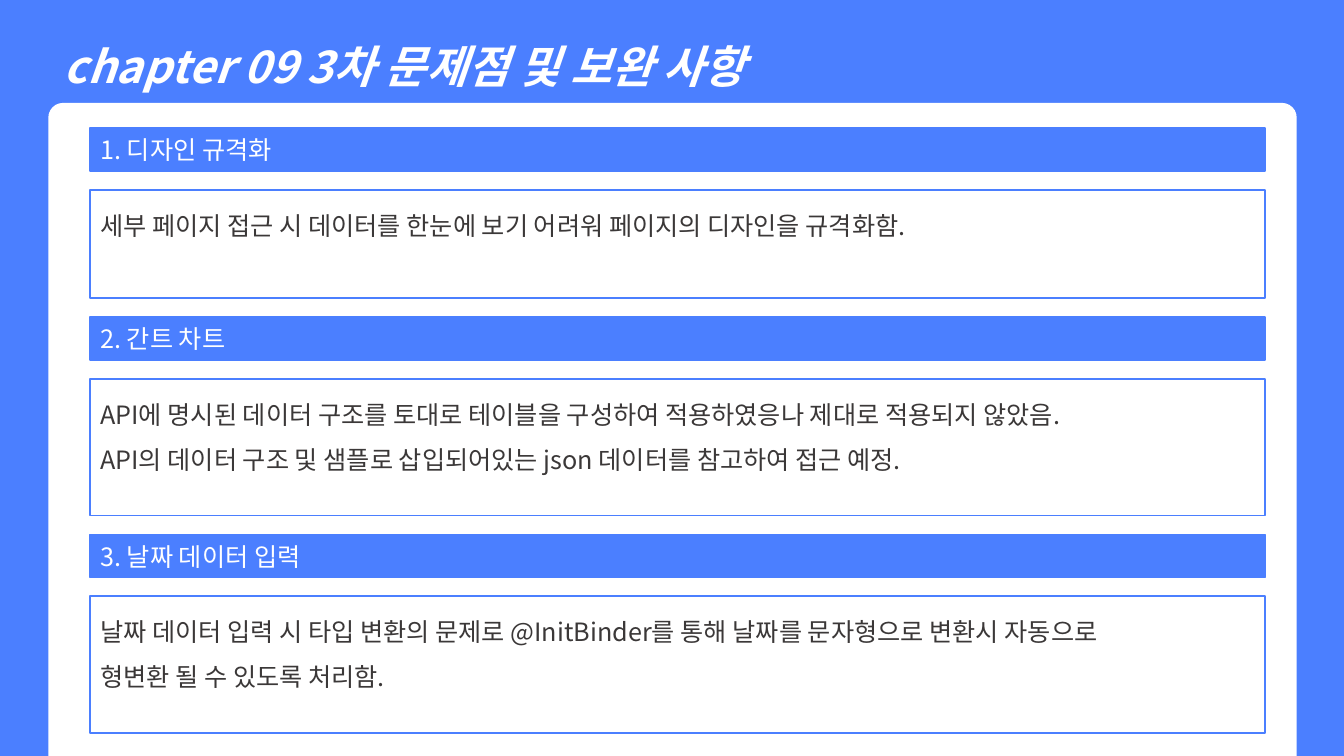
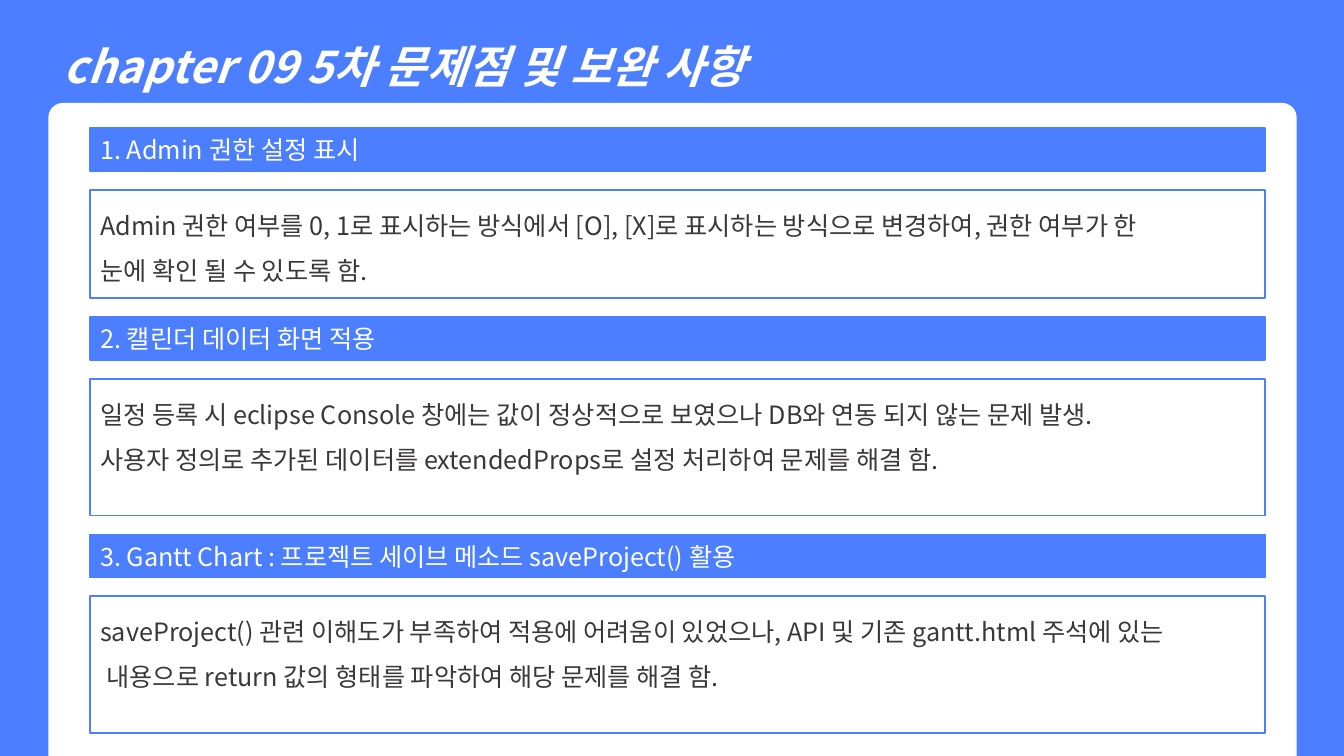
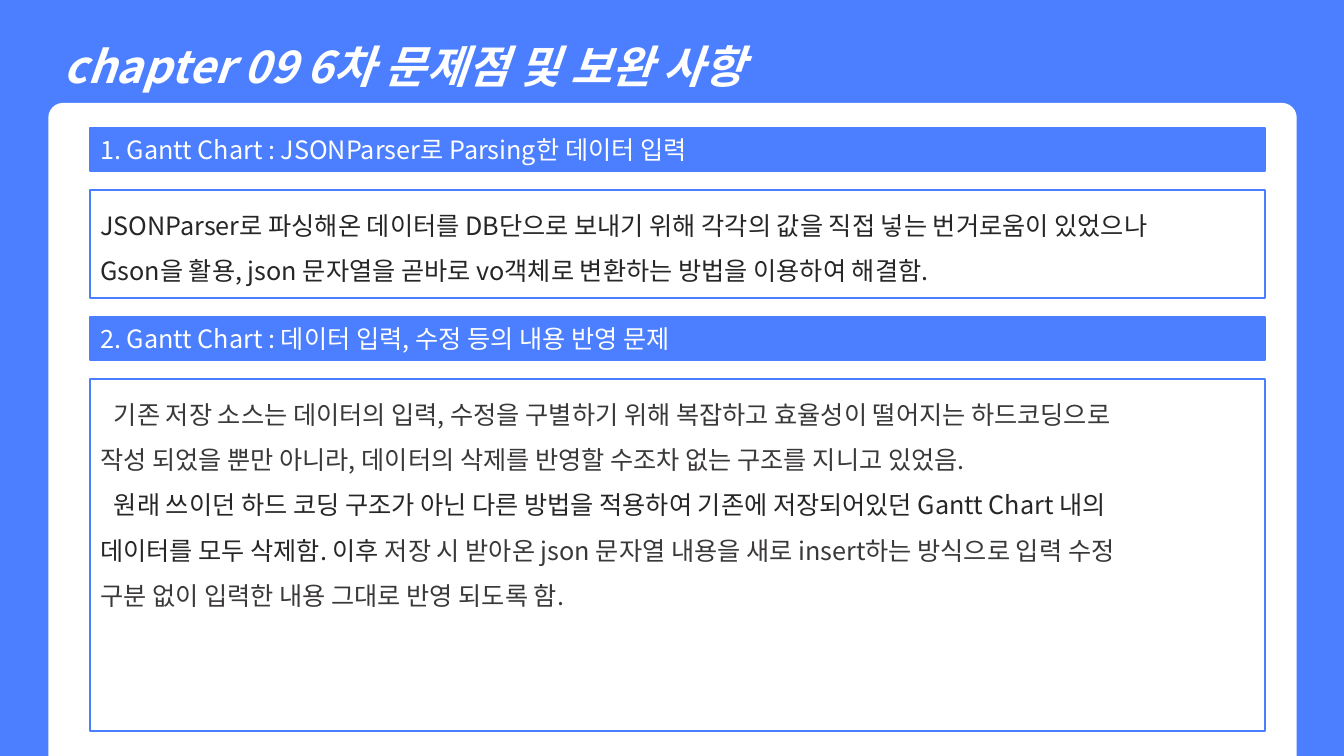
import dataclasses

import pptx
import pptx.dml.color
import pptx.enum.shapes
import pptx.enum.text
import pptx.oxml
import pptx.oxml.ns
import pptx.util

EMU_PER_PX = 9525
FONT = "Noto Sans CJK KR"
COLORS = {"blue": "4B7FFF", "white": "FFFFFF", "gray": "3B3838", "dark": "262626"}

# Page geometry, in px
PAGE_W, PAGE_H = 1280, 720
PANEL_X, PANEL_Y, PANEL_W = 46, 98, 1189
PANEL_RADIUS = 14
ISSUE_X, ISSUE_Y, ISSUE_W = 86, 122, 1119
BAND_H, GAP = 41, 18
HANGING = 36


@dataclasses.dataclass(frozen=True)
class Span:
    text: str
    color: str = "gray"


@dataclasses.dataclass(frozen=True)
class Line:
    spans: tuple[Span, ...]
    first_indent: int = 0


@dataclasses.dataclass(frozen=True)
class Issue:
    heading: str
    lines: tuple[Line, ...]
    height: int = 130


@dataclasses.dataclass(frozen=True)
class Review:
    title: str
    issues: tuple[Issue, ...]


def line(text: str, color: str = "gray", first_indent: int = 0) -> Line:
    return Line((Span(text, color),), first_indent)


REVIEWS = (
    Review("chapter 09 3차 문제점 및 보완 사항", (
        Issue("1. 디자인 규격화", (
            line("세부 페이지 접근 시 데이터를 한눈에 보기 어려워 페이지의 디자인을 규격화함."),
        ), 103),
        Issue("2. 간트 차트", (
            line("API에 명시된 데이터 구조를 토대로 테이블을 구성하여 적용하였응나 제대로 적용되지 않았음."),
            line("API의 데이터 구조 및 샘플로 삽입되어있는 json 데이터를 참고하여 접근 예정."),
        )),
        Issue("3. 날짜 데이터 입력", (
            line("날짜 데이터 입력 시 타입 변환의 문제로 @InitBinder를 통해 날짜를 문자형으로 변환시 자동으로"),
            line("형변환 될 수 있도록 처리함."),
        )),
    )),
    Review("chapter 09 5차 문제점 및 보완 사항", (
        Issue("1. Admin 권한 설정 표시", (
            line("Admin 권한 여부를 0, 1로 표시하는 방식에서 [O], [X]로 표시하는 방식으로 변경하여, 권한 여부가 한"),
            line("눈에 확인 될 수 있도록 함."),
        ), 103),
        Issue("2. 캘린더 데이터 화면 적용", (
            line("일정 등록 시 eclipse Console 창에는 값이 정상적으로 보였으나 DB와 연동 되지 않는 문제 발생."),
            line("사용자 정의로 추가된 데이터를 extendedProps로 설정 처리하여 문제를 해결 함."),
        )),
        Issue("3. Gantt Chart : 프로젝트 세이브 메소드 saveProject() 활용", (
            line("saveProject() 관련 이해도가 부족하여 적용에 어려움이 있었으나, API 및 기존 gantt.html 주석에 있는"),
            line("내용으로 return 값의 형태를 파악하여 해당 문제를 해결 함.", first_indent=6),
        )),
    )),
    Review("chapter 09 6차 문제점 및 보완 사항", (
        Issue("1. Gantt Chart : JSONParser로 Parsing한 데이터 입력", (
            line("JSONParser로 파싱해온 데이터를 DB단으로 보내기 위해 각각의 값을 직접 넣는 번거로움이 있었으나", "dark"),
            line("Gson을 활용, json 문자열을 곧바로 vo객체로 변환하는 방법을 이용하여 해결함.", "dark"),
        ), 103),
        Issue("2. Gantt Chart : 데이터 입력, 수정 등의 내용 반영 문제", (
            line("기존 저장 소스는 데이터의 입력, 수정을 구별하기 위해 복잡하고 효율성이 떨어지는 하드코딩으로",
                 first_indent=13),
            line("작성 되었을 뿐만 아니라, 데이터의 삭제를 반영할 수조차 없는 구조를 지니고 있었음."),
            line("원래 쓰이던 하드 코딩 구조가 아닌 다른 방법을 적용하여 기존에 저장되어있던 Gantt Chart 내의",
                 "dark", 13),
            Line((
                Span("데이터를 모두 삭제함. 이후 ", "dark"),
                Span("저장 시 받아온 json 문자열 내용을 새로 insert하는 방식으로 입력 수정"),
            )),
            line("구분 없이 입력한 내용 그대로 반영 되도록 함."),
        ), 335),
    )),
)


def px(length: int) -> pptx.util.Emu:
    return pptx.util.Emu(length * EMU_PER_PX)


def rgb(name: str) -> pptx.dml.color.RGBColor:
    return pptx.dml.color.RGBColor.from_string(COLORS[name])


def add_run(paragraph, span: Span, size: int, emphasis: bool = False) -> None:
    run = paragraph.add_run()
    run.text = span.text
    run.font.size = pptx.util.Pt(size)
    run.font.bold = run.font.italic = emphasis
    run.font.color.rgb = rgb(span.color)
    run.font.name = FONT
    # Korean glyphs take the East Asian typeface
    east_asian = pptx.oxml.parse_xml(
        f'<a:ea {pptx.oxml.ns.nsdecls("a")} typeface="{FONT}"/>')
    run.font._element.find(pptx.oxml.ns.qn("a:latin")).addnext(east_asian)


def add_panel(slide) -> None:
    height = PAGE_H - PANEL_Y
    panel = slide.shapes.add_shape(
        pptx.enum.shapes.MSO_SHAPE.ROUND_2_SAME_RECTANGLE,
        px(PANEL_X), px(PANEL_Y), px(PANEL_W), px(height))
    panel.adjustments[0] = PANEL_RADIUS / height
    panel.shadow.inherit = False
    panel.fill.solid()
    panel.fill.fore_color.rgb = rgb("white")
    panel.line.fill.background()


def add_box(slide, top: int, height: int, fill: str, anchor):
    """Add an outlined box of the issue column and return its text frame."""
    box = slide.shapes.add_shape(
        pptx.enum.shapes.MSO_SHAPE.RECTANGLE,
        px(ISSUE_X), px(top), px(ISSUE_W), px(height))
    box.shadow.inherit = False
    box.fill.solid()
    box.fill.fore_color.rgb = rgb(fill)
    box.line.color.rgb = rgb("blue")
    box.line.width = pptx.util.Pt(1.25)
    box.text_frame.word_wrap = True
    box.text_frame.vertical_anchor = anchor
    return box.text_frame


def add_issue(slide, issue: Issue, top: int) -> int:
    """Draw heading band and explanation; return the top of the next issue."""
    anchors = pptx.enum.text.MSO_ANCHOR
    left = pptx.enum.text.PP_ALIGN.LEFT
    heading = add_box(slide, top, BAND_H, "blue", anchors.MIDDLE).paragraphs[0]
    heading.alignment = left
    add_run(heading, Span(issue.heading, "white"), 18)

    explanation_top = top + BAND_H + GAP
    explanation = add_box(slide, explanation_top, issue.height, "white", anchors.TOP)
    for index, text_line in enumerate(issue.lines):
        paragraph = explanation.add_paragraph() if index else explanation.paragraphs[0]
        paragraph.alignment = left
        paragraph.line_spacing = 1.5
        properties = paragraph._p.get_or_add_pPr()
        properties.set("marL", str(px(HANGING)))
        properties.set("indent", str(px(text_line.first_indent - HANGING)))
        for span in text_line.spans:
            add_run(paragraph, span, 18)
    return explanation_top + issue.height + GAP


def set_title(slide, text: str) -> None:
    title = slide.shapes.title
    title.left, title.top, title.width, title.height = px(51), px(10), px(1178), px(80)
    title.text_frame.word_wrap = True
    title.text_frame.auto_size = pptx.enum.text.MSO_AUTO_SIZE.NONE
    title.text_frame.vertical_anchor = pptx.enum.text.MSO_ANCHOR.MIDDLE
    paragraph = title.text_frame.paragraphs[0]
    paragraph.alignment = pptx.enum.text.PP_ALIGN.LEFT
    paragraph.line_spacing = 1.5
    add_run(paragraph, Span(text, "white"), 32, emphasis=True)


def main() -> None:
    deck = pptx.Presentation()
    deck.slide_width, deck.slide_height = px(PAGE_W), px(PAGE_H)
    # Shared blue frame around the white panel
    backdrop = deck.slide_master.background.fill
    backdrop.solid()
    backdrop.fore_color.rgb = rgb("blue")
    title_only = deck.slide_layouts.get_by_name("Title Only")

    for review in REVIEWS:
        slide = deck.slides.add_slide(title_only)
        set_title(slide, review.title)
        add_panel(slide)
        top = ISSUE_Y
        for issue in review.issues:
            top = add_issue(slide, issue, top)
    deck.save("out.pptx")


if __name__ == "__main__":
    main()
